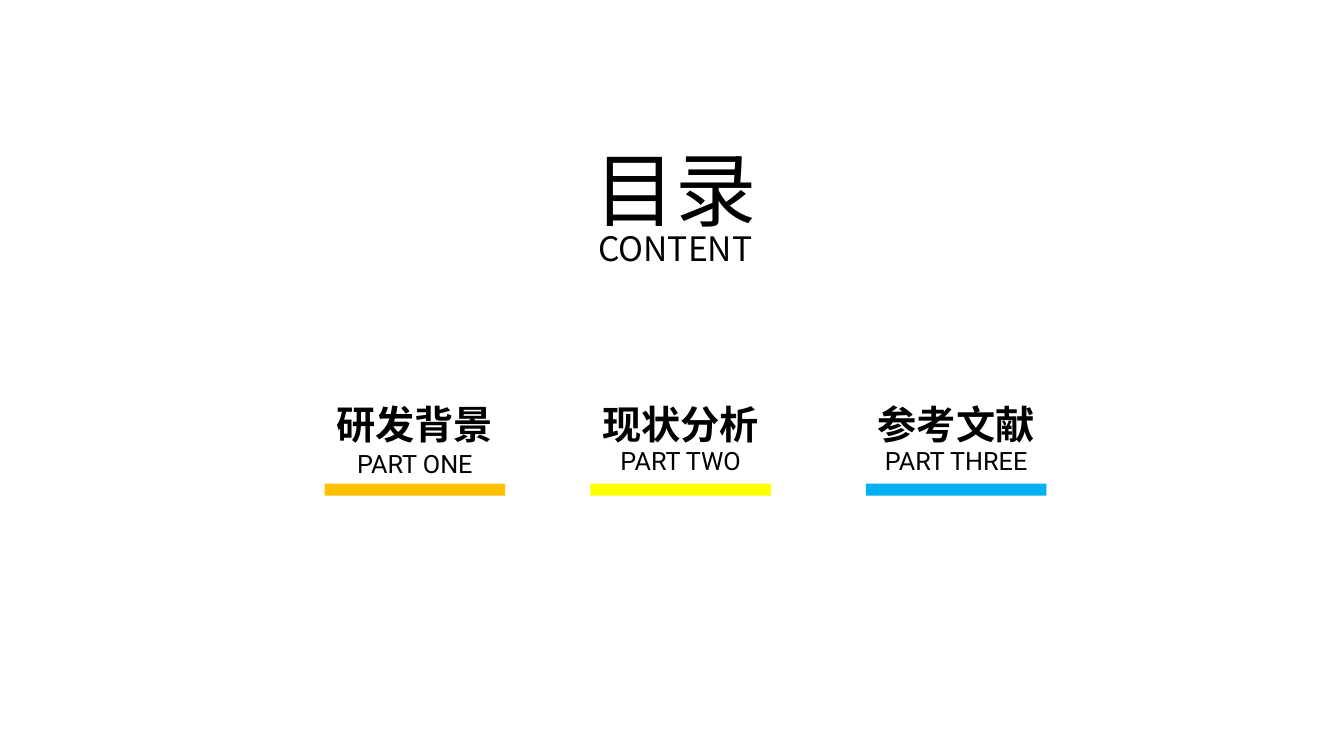
"""Build the contents slide with its three underlined parts."""
from dataclasses import dataclass

from lxml.etree import SubElement
from pptx import Presentation
from pptx.dml.color import RGBColor
from pptx.enum.shapes import MSO_SHAPE
from pptx.enum.text import MSO_ANCHOR, MSO_AUTO_SIZE, PP_ALIGN
from pptx.oxml.ns import qn
from pptx.shapes.group import GroupShape
from pptx.slide import Slide
from pptx.text.text import _Paragraph as Paragraph
from pptx.util import Cm, Pt

BLACK = RGBColor(0x00, 0x00, 0x00)
ORANGE = RGBColor(0xFF, 0xC0, 0x00)
YELLOW = RGBColor(0xFF, 0xFF, 0x00)
BLUE = RGBColor(0x00, 0xB0, 0xF0)
TITLE_FONT = "Noto Sans CJK SC"
PART_FONT = "Roboto"
BAR_WIDTH = 4.55
HEADING_WIDTH = 4.88


@dataclass(frozen=True)
class Part:
    heading: str
    label: str
    left: float
    label_top: float
    color: RGBColor


PARTS = (
    Part("研发背景", "PART ONE", 8.18, 10.95, ORANGE),
    Part("现状分析", "PART TWO", 14.88, 10.87, YELLOW),
    Part("参考文献", "PART THREE", 21.82, 10.87, BLUE),
)


def format_paragraph(p: Paragraph, font: str, size: float, spacing: float, bold: bool = False) -> None:
    p.alignment = PP_ALIGN.CENTER
    p.line_spacing = spacing
    for r in p.runs:
        r.font.name = font
        r.font.size = Pt(size)
        r.font.bold = bold
        r.font.color.rgb = BLACK
        SubElement(r.font._element, qn("a:ea"), typeface=font)


def add_title(slide: Slide) -> None:
    sp = slide.shapes.title
    sp.left, sp.top, sp.width, sp.height = Cm(14.71), Cm(3.66), Cm(4.62), Cm(3.76)
    tf = sp.text_frame
    tf.text = "目录\nCONTENT"
    tf.word_wrap = False
    tf.auto_size = MSO_AUTO_SIZE.NONE
    tf.vertical_anchor = MSO_ANCHOR.TOP
    name, translation = tf.paragraphs
    format_paragraph(name, TITLE_FONT, 58, 0.9)
    format_paragraph(translation, TITLE_FONT, 24, 0.72)


def add_text(group: GroupShape, text: str, left: float, top: float, width: float,
             height: float, size: float, bold: bool = False) -> None:
    sp = group.shapes.add_textbox(Cm(left), Cm(top), Cm(width), Cm(height))
    tf = sp.text_frame
    tf.text = text
    tf.word_wrap = True
    tf.auto_size = MSO_AUTO_SIZE.SHAPE_TO_FIT_TEXT
    format_paragraph(tf.paragraphs[0], PART_FONT, size, 1.3, bold)


def add_part(slide: Slide, part: Part) -> None:
    group = slide.shapes.add_group_shape()
    add_text(group, part.label, part.left, part.label_top, BAR_WIDTH, 1.24, 18)
    heading_left = part.left - (HEADING_WIDTH - BAR_WIDTH) / 2
    add_text(group, part.heading, heading_left, 9.6, HEADING_WIDTH, 1.8, 28, bold=True)
    bar = group.shapes.add_shape(
        MSO_SHAPE.RECTANGLE, Cm(part.left), Cm(12.19), Cm(BAR_WIDTH), Cm(0.3))
    bar.shadow.inherit = False
    bar.fill.solid()
    bar.fill.fore_color.rgb = part.color
    bar.line.fill.background()


def main() -> None:
    prs = Presentation()
    prs.slide_width, prs.slide_height = Cm(33.87), Cm(19.05)
    slide = prs.slides.add_slide(prs.slide_layouts[5])
    add_title(slide)
    for part in PARTS:
        add_part(slide, part)
    prs.save("out.pptx")


if __name__ == "__main__":
    main()
